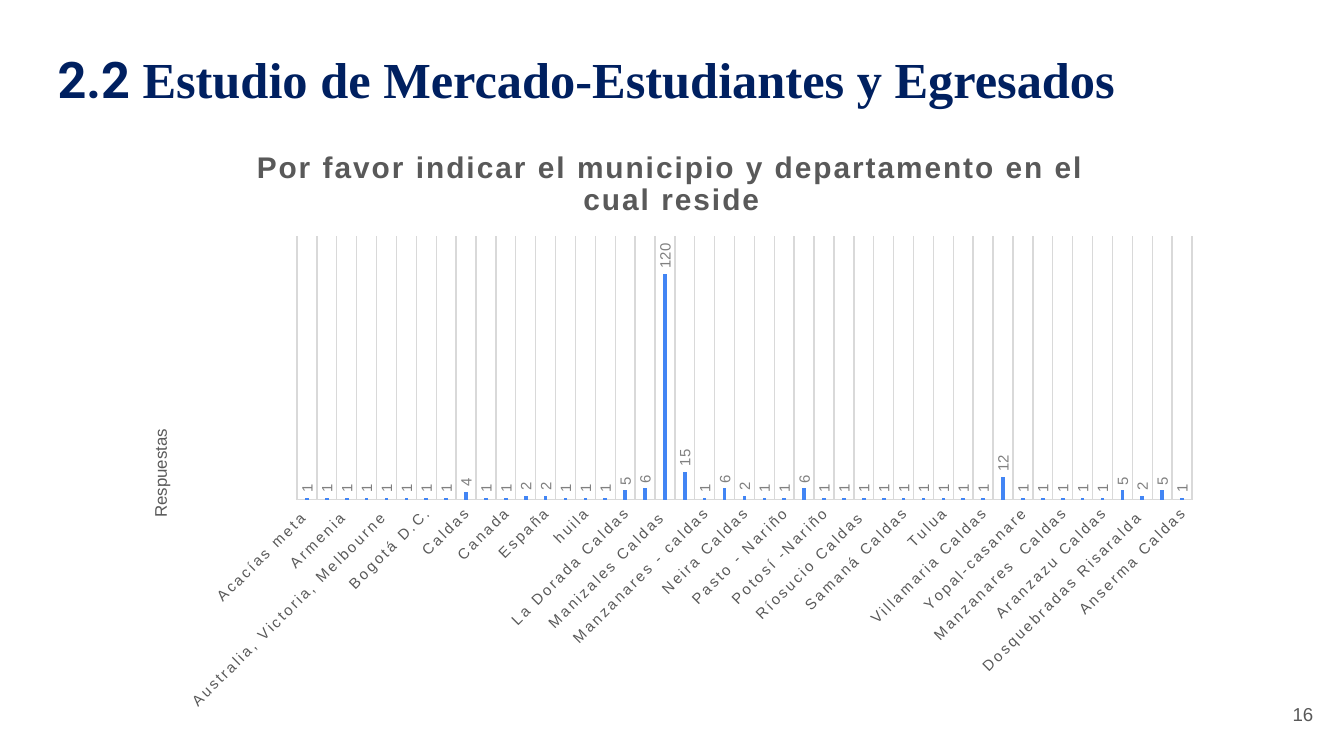
from pptx import Presentation
from pptx.chart.data import CategoryChartData
from pptx.dml.color import RGBColor
from pptx.enum.chart import XL_CHART_TYPE, XL_LABEL_POSITION, XL_TICK_LABEL_POSITION, XL_TICK_MARK
from pptx.enum.text import MSO_ANCHOR, PP_ALIGN
from pptx.oxml import parse_xml
from pptx.oxml.ns import nsdecls
from pptx.util import Inches, Pt

NAVY = RGBColor(0x00, 0x20, 0x60)
DARK_GRAY = RGBColor(0x59, 0x59, 0x59)
MID_GRAY = RGBColor(0x80, 0x80, 0x80)
LIGHT_GRAY = RGBColor(0xD9, 0xD9, 0xD9)
BLUE = RGBColor(0x42, 0x85, 0xF4)
BLACK = RGBColor(0, 0, 0)
WHITE = RGBColor(0xFF, 0xFF, 0xFF)

RESPONSES = [
    ("Acacías meta ", 1), ("Andes Antioquia ", 1), ("Armenia ", 1), ("Atlantico", 1),
    ("Australia, Victoria, Melbourne ", 1), ("Barbosa", 1), ("Bogotá D.C.", 1),
    ("Bogotá DC", 1), ("Caldas", 4), ("Caldas ", 1), ("Canada", 1),
    ("Chinchina Caldas", 2), ("España", 2), ("Extranjero ", 1), ("huila", 1),
    ("Itagui ", 1), ("La Dorada Caldas", 5), ("Manizales Caldas", 6),
    ("Manizales Caldas ", 120), ("Manizales Caldas  ", 15), ("Manzanares - caldas", 1),
    ("Medellin Antioquia", 6), ("Neira Caldas", 2), ("Neiva, Huila", 1),
    ("Pasto - Nariño", 1), ("Pereira Risaralda ", 6), ("Potosí -Nariño", 1),
    ("Riosucio Caldas ", 1), ("Ríosucio Caldas ", 1), ("Risaralda ", 1),
    ("Samaná Caldas", 1), ("Santa rosa de cabal - Risaralda ", 1), ("Tulua", 1),
    ("Valledupar ", 1), ("Villamaria Caldas", 1), ("Villamaria Caldas ", 12),
    ("Yopal-casanare", 1), ("Zipaquirá", 1), ("Manzanares  Caldas", 1),
    ("Manizales Caldas   ", 1), ("Aranzazu Caldas", 1), ("Chinchiná Caldas", 5),
    ("Dosquebradas Risaralda ", 2), ("Cali Valle del Cauca ", 5), ("Anserma Caldas", 1),
]


def set_font(font, color, **values):
    for name, value in values.items():
        setattr(font, name, value)
    font.color.rgb = color


def add_text(slide, box, runs, color, margin, align=PP_ALIGN.LEFT, anchor=MSO_ANCHOR.TOP):
    """Add one paragraph made of (text, font values) runs."""
    tf = slide.shapes.add_textbox(*map(Inches, box)).text_frame
    tf.word_wrap = True
    tf.vertical_anchor = anchor
    tf.margin_left = tf.margin_right = Inches(0.1)
    tf.margin_top = tf.margin_bottom = Inches(margin)
    p = tf.paragraphs[0]
    p.alignment = align
    for text, values in runs:
        r = p.add_run()
        r.text = text
        set_font(r.font, color, **values)


def make_layout(box, x, y, w=None, h=None):
    """Manual chart layout from inches measured inside the chart's box."""
    _, _, width, height = box
    target = '<c:layoutTarget val="inner"/>' if w else ""
    size = f'<c:w val="{w / width}"/><c:h val="{h / height}"/>' if w else ""
    return parse_xml(
        f'<c:layout {nsdecls("c")}><c:manualLayout>{target}<c:xMode val="edge"/>'
        f'<c:yMode val="edge"/><c:x val="{x / width}"/><c:y val="{y / height}"/>{size}'
        "</c:manualLayout></c:layout>")


def drop_layout(element):
    for layout in element.xpath("c:layout"):
        element.remove(layout)


def rotate_text(element, degrees):
    for body in element.xpath("c:txPr/a:bodyPr | c:tx/c:rich/a:bodyPr"):
        body.set("rot", str(degrees * 60000))
        body.set("vert", "horz")


def set_title(title, text, color, **values):
    r = title.text_frame.paragraphs[0].add_run()
    r.text = text
    set_font(r.font, color, name="Arial", **values)
    return r


def format_category_axis(axis):
    axis.major_tick_mark = axis.minor_tick_mark = XL_TICK_MARK.NONE
    axis.tick_label_position = XL_TICK_LABEL_POSITION.NEXT_TO_AXIS
    axis.has_major_gridlines = True
    for line in (axis.format.line, axis.major_gridlines.format.line):
        line.color.rgb = LIGHT_GRAY
        line.width = Pt(0.75)
    set_font(axis.tick_labels.font, DARK_GRAY, name="Arial", size=Pt(8), bold=False)
    rotate_text(axis._element, -45)
    axis._element.xpath("c:txPr//a:defRPr")[0].set("spc", "120")


def format_value_axis(axis, box):
    axis.minimum_scale, axis.maximum_scale = 0, 140
    axis.has_major_gridlines = False
    axis.visible = False
    set_title(axis.axis_title, "Respuestas", DARK_GRAY, size=Pt(9), bold=False)
    element = axis.axis_title._element
    rotate_text(element, -90)
    drop_layout(element)
    element.xpath("c:tx")[0].addnext(make_layout(box, 0.19, 2.25))


def add_responses_chart(slide, box):
    data = CategoryChartData()
    data.categories = [place for place, _ in RESPONSES]
    data.add_series("Series 1", [count for _, count in RESPONSES])
    chart = slide.shapes.add_chart(
        XL_CHART_TYPE.COLUMN_CLUSTERED, *map(Inches, box), data).chart
    set_font(chart.font, BLACK, name="Arial", size=Pt(10))
    chart.has_legend = False
    r = set_title(
        chart.chart_title, "Por favor indicar el municipio y departamento en el cual reside",
        DARK_GRAY, size=Pt(16), bold=True)
    r._r.get_or_add_rPr().set("spc", "120")

    format_category_axis(chart.category_axis)
    format_value_axis(chart.value_axis, box)

    plot = chart.plots[0]
    plot.vary_by_categories = False
    plot.gap_width, plot.overlap = 444, -90
    series = plot.series[0]
    series.format.fill.solid()
    series.format.fill.fore_color.rgb = BLUE
    labels = series.data_labels
    labels.show_value = True
    labels.position = XL_LABEL_POSITION.OUTSIDE_END
    set_font(labels.font, MID_GRAY, name="Arial", size=Pt(8), bold=False)
    rotate_text(labels._element, -90)

    plot_area = chart._chartSpace.xpath("c:chart/c:plotArea")[0]
    drop_layout(plot_area)
    plot_area.insert(0, make_layout(box, 1.31, 0.84, 6.66, 1.96))


def main():
    prs = Presentation()
    prs.slide_width = Inches(10)
    prs.slide_height = prs.slide_width * 9 // 16
    slide = prs.slides.add_slide(prs.slide_layouts[6])
    slide.background.fill.solid()
    slide.background.fill.fore_color.rgb = WHITE
    heading = dict(size=Pt(27), bold=True)
    add_text(slide, (0.33, 0.31, 8.76, 0.56), [
        ("2.2 ", dict(name="Roboto", **heading)),
        ("Estudio de Mercado-Estudiantes y Egresados", dict(name="Times New Roman", **heading)),
    ], NAVY, 0.05)
    add_responses_chart(slide, (0.9, 0.92, 8.19, 4.45))
    add_text(slide, (9.27, 5.1, 0.6, 0.43), [("16", dict(name="Arial", size=Pt(10)))],
             DARK_GRAY, 0.1, PP_ALIGN.RIGHT, MSO_ANCHOR.MIDDLE)
    prs.save("out.pptx")


if __name__ == "__main__":
    main()
